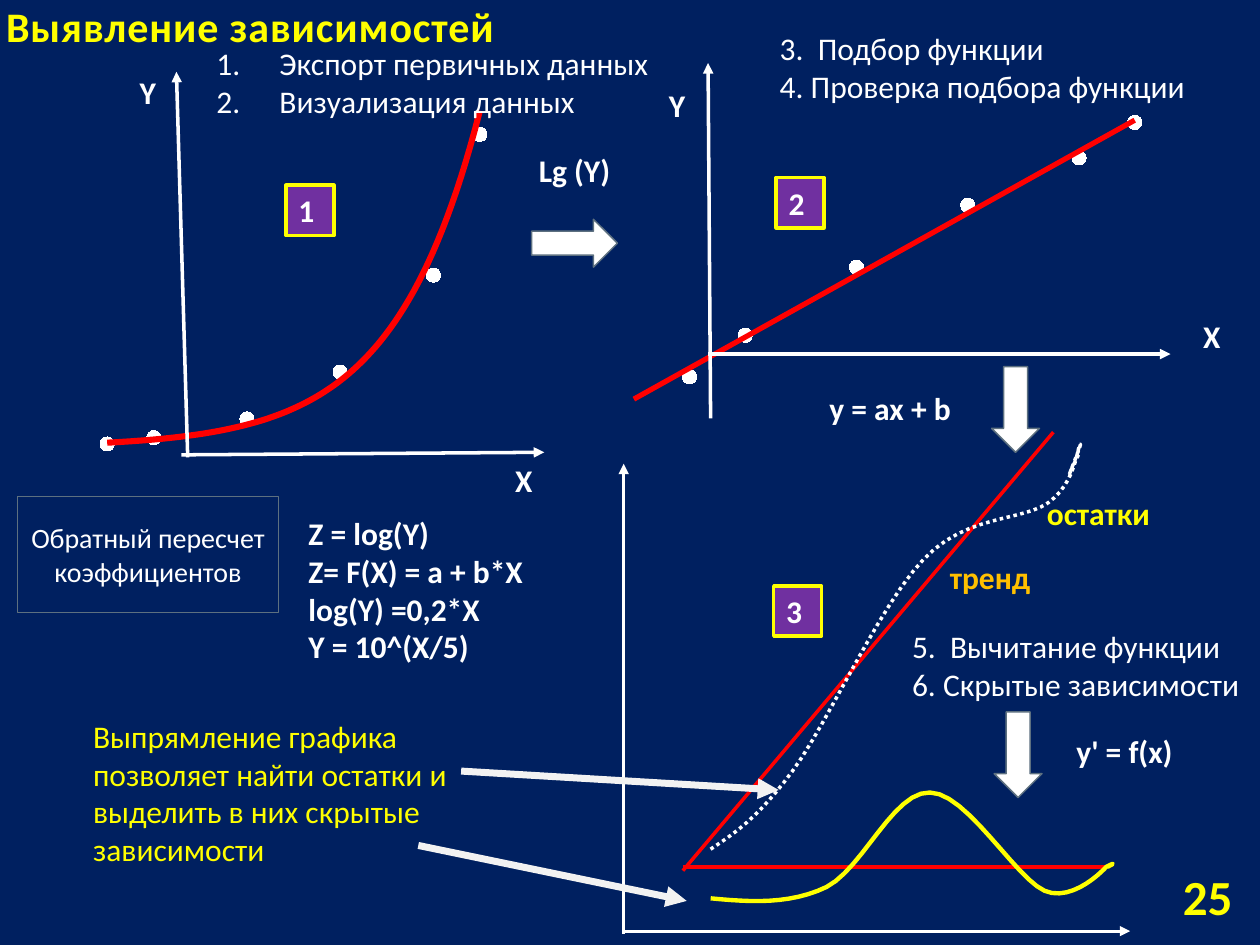
from lxml import etree
from pptx import Presentation
from pptx import util as u
from pptx.chart import data
from pptx.dml.color import RGBColor
from pptx.enum import chart as kinds, dml, shapes, text
from pptx.oxml import parse_xml
from pptx.oxml.ns import nsdecls, qn

NAVY = RGBColor(0x00, 0x20, 0x60)
WHITE = RGBColor(0xFF, 0xFF, 0xFF)
PALE = RGBColor(0xF2, 0xF2, 0xF2)
YELLOW = RGBColor(0xFF, 0xFF, 0x00)
AMBER = RGBColor(0xFF, 0xC0, 0x00)
RED = RGBColor(0xFF, 0x00, 0x00)
PURPLE = RGBColor(0x70, 0x30, 0xA0)
SLATE = RGBColor(0x5D, 0x70, 0x80)
LEFT, MID, RIGHT = text.PP_ALIGN.LEFT, text.PP_ALIGN.CENTER, text.PP_ALIGN.RIGHT
TOP, HALF, BASE = text.MSO_ANCHOR.TOP, text.MSO_ANCHOR.MIDDLE, text.MSO_ANCHOR.BOTTOM
FORM = shapes.MSO_SHAPE


def spots(points, steps=12):
    yield points[0]
    for k in range(0, len(points) - 1, 3):
        a, b, c, d = points[k:k + 4]
        for n in range(1, steps + 1):
            t = n / steps
            s = 1 - t
            yield tuple(s**3 * a[i] + 3 * s * s * t * b[i] + 3 * s * t * t * c[i] + t**3 * d[i]
                        for i in (0, 1))


class Page:
    font = "Calibri"

    def __init__(self, deck):
        self.slide = deck.slides.add_slide(deck.slide_layouts[6])
        self.items = self.slide.shapes
        fill = self.slide.background.fill
        fill.solid()
        fill.fore_color.rgb = NAVY

    def box(self, place):
        return [u.Inches(v) for v in place]

    def words(self, shape, lines, size=18, color=WHITE, bold=False, align=LEFT,
              anchor=TOP, wrap=True, space=0, count=False):
        frame = shape.text_frame
        frame.word_wrap = wrap
        frame.vertical_anchor = anchor
        for n, line in enumerate(lines):
            para = frame.add_paragraph() if n else frame.paragraphs[0]
            para.alignment = align
            run = para.add_run()
            run.text = line
            run.font.name = self.font
            run.font.size = u.Pt(size)
            run.font.bold = bold
            run.font.color.rgb = color
            if space:
                run.font._element.set("spc", str(space))
            if count:
                props = para._p.get_or_add_pPr()
                props.set("marL", str(u.Inches(0.5)))
                props.set("indent", str(u.Inches(-0.5)))
                etree.SubElement(props, qn("a:buAutoNum"), type="arabicPeriod")

    def label(self, place, *lines, **style):
        self.words(self.items.add_textbox(*self.box(place)), lines, **style)

    def shape(self, form, place, fill, line, width, turn=0):
        shape = self.items.add_shape(form, *self.box(place))
        shape.shadow.inherit = False
        shape.fill.solid()
        shape.fill.fore_color.rgb = fill
        shape.line.color.rgb = line
        shape.line.width = u.Pt(width)
        shape.rotation = turn
        return shape

    def arrow(self, left, top, turn=0):
        self.shape(FORM.RIGHT_ARROW, (left, top, 0.68, 0.38), WHITE, SLATE, 0.85, turn)

    def badge(self, left, top, mark):
        shape = self.shape(FORM.RECTANGLE, (left, top, 0.38, 0.4), PURPLE, YELLOW, 2)
        self.words(shape, [mark], bold=True)

    def line(self, start, end, color=WHITE, width=2, head=True):
        line = self.items.add_connector(shapes.MSO_CONNECTOR.STRAIGHT, *self.box(start + end))
        line.line.color.rgb = color
        line.line.width = u.Pt(width)
        if head:
            etree.SubElement(line.line._get_or_add_ln(), qn("a:tailEnd"), type="triangle")
        etree.SubElement(line._element.spPr, qn("a:effectLst"))

    def curve(self, points, color, width, dash=None):
        first, *rest = [self.box(p) for p in spots(points)]
        pen = self.items.build_freeform(*first, scale=1.0)
        pen.add_line_segments(rest, close=False)
        shape = pen.convert_to_shape()
        shape.shadow.inherit = False
        shape.fill.background()
        shape.line.color.rgb = color
        shape.line.width = u.Pt(width)
        if dash:
            shape.line.dash_style = dash

    def chart(self, place, values, top, plot, trend, width, back=0, size=14):
        source = data.XyChartData()
        series = source.add_series("Series 1")
        for x, y in zip((40, 45, 55, 65, 75, 80), values):
            series.add_data_point(x, y)
        chart = self.items.add_chart(kinds.XL_CHART_TYPE.XY_SCATTER, *self.box(place), source).chart
        chart.has_legend = chart.has_title = False
        chart.font.name = self.font
        chart.font.size = u.Pt(size)
        chart.font.color.rgb = WHITE
        chart.plots[0].vary_by_categories = False
        for axis, low, high in ((chart.category_axis, 35, 85), (chart.value_axis, 0, top)):
            axis.minimum_scale, axis.maximum_scale = low, high
            axis.has_major_gridlines = False
            axis.visible = False
        dots = chart.plots[0].series[0]
        dots.format.line.fill.background()
        dots.marker.style = kinds.XL_MARKER_STYLE.CIRCLE
        dots.marker.size = 8
        dots.marker.format.fill.solid()
        dots.marker.format.fill.fore_color.rgb = WHITE
        dots.marker.format.line.color.rgb = WHITE
        dots._element.find(qn("c:xVal")).addprevious(parse_xml(
            f'<c:trendline {nsdecls("c", "a")}><c:spPr><a:ln w="{u.Pt(width)}"><a:solidFill>'
            f'<a:srgbClr val="{RED}"/></a:solidFill></a:ln></c:spPr>'
            f'<c:trendlineType val="{trend}"/><c:backward val="{back}"/>'
            '<c:dispRSqr val="0"/><c:dispEq val="0"/></c:trendline>'))
        area = chart._chartSpace.chart.plotArea
        for old in area.findall(qn("c:layout")):
            area.remove(old)
        sides = "".join(f'<c:{k} val="{v}"/>' for k, v in zip("xywh", plot))
        area.insert(0, parse_xml(
            f'<c:layout {nsdecls("c")}><c:manualLayout><c:layoutTarget val="inner"/>'
            f'<c:xMode val="edge"/><c:yMode val="edge"/>{sides}</c:manualLayout></c:layout>'))


def main():
    deck = Presentation()
    deck.slide_width, deck.slide_height = u.Inches(10), u.Inches(7.5)
    page = Page(deck)

    page.label((8.7, 6.91, 1.18, 0.4), "25", size=28, color=YELLOW, bold=True,
               align=RIGHT, anchor=HALF)
    page.label((-0.05, -0.01, 5.38, 0.46), "Выявление зависимостей", size=24,
               color=YELLOW, bold=True, anchor=BASE, space=50)
    page.chart((5.01, 0.32, 4.72, 3), (14, 28, 51, 72, 88, 100), 115,
               (0, 0.1, 0.94, 0.9), "linear", 3, back=5)
    page.chart((0.28, 0.6, 4.02, 2.98), (1, 3, 9, 24, 55, 100), 108,
               (0.05, 0.09, 0.92, 0.9), "exp", 3.5, size=10)
    for left, top, name in ((9.45, 2.47, "X"), (5.21, 0.63, "Y"),
                            (1.01, 0.53, "Y"), (3.99, 3.61, "X")):
        page.label((left, top, 0.34, 0.4), name, bold=True, wrap=False)

    page.line((4.95, 7.39), (8.97, 7.39), width=1.75)
    page.line((4.95, 7.41), (4.95, 3.68), width=1.75)
    page.line((5.42, 6.91), (8.36, 3.43), RED, head=False)
    page.curve([(5.64, 6.74), (5.82, 6.62), (6.01, 6.5), (6.29, 6.12), (6.57, 5.74),
                (6.99, 4.79), (7.33, 4.44), (7.67, 4.08), (8.11, 4.14), (8.32, 3.99),
                (8.53, 3.84), (8.55, 3.57), (8.57, 3.53), (8.6, 3.49), (8.49, 3.75),
                (8.49, 3.76), (8.48, 3.77), (8.52, 3.69), (8.56, 3.61)],
               WHITE, 2, dml.MSO_LINE.ROUND_DOT)
    page.line((5.42, 6.88), (8.78, 6.88), RED, head=False)
    page.curve([(5.64, 7.13), (5.95, 7.16), (6.27, 7.18), (6.56, 7.04), (6.85, 6.89),
                (7.09, 6.28), (7.38, 6.29), (7.67, 6.29), (8.06, 6.97), (8.29, 7.07),
                (8.52, 7.17), (8.78, 6.88), (8.78, 6.88), (8.86, 6.84), (8.83, 6.86),
                (8.79, 6.88)], YELLOW, 2.5)
    page.label((0.64, 5.64, 3.02, 1.31), "Выпрямление графика позволяет найти остатки "
               "и выделить в них скрытые зависимости", color=YELLOW)

    page.arrow(4.22, 1.74)
    page.arrow(7.72, 3.06, 90)
    page.arrow(7.74, 5.8, 90)
    for start, end in (((1.44, 3.61), (4.32, 3.59)), ((5.62, 2.81), (9.29, 2.81)),
                       ((5.64, 3.32), (5.62, 0.5)), ((1.49, 3.63), (1.4, 0.57))):
        page.line(start, end)
    page.line((3.66, 6.12), (6.18, 6.27), PALE, 4)
    page.line((3.32, 6.71), (5.45, 7.15), PALE, 4)

    page.label((3.83, 1.15, 1.46, 0.4), "Lg (Y)", bold=True, align=MID)
    page.label((6.28, 3.04, 1.57, 0.4), "y = ax + b", bold=True, align=MID)
    page.label((8.14, 5.76, 1.57, 0.4), "y' = f(x)", bold=True, align=MID)
    page.label((8.21, 3.87, 1.15, 0.4), "остатки", color=YELLOW, bold=True)
    page.label((7.44, 4.38, 1.15, 0.4), "тренд", color=AMBER, bold=True)
    page.label((2.35, 4.03, 2.1, 1.31), "Z = log(Y)", "Z= F(X) = a + b*X",
               "log(Y) =0,2*X", "Y = 10^(X/5)", bold=True)
    panel = page.shape(FORM.RECTANGLE, (0.14, 3.94, 2.07, 0.92), NAVY, SLATE, 0.85)
    page.words(panel, ["Обратный пересчет коэффициентов"], size=16, align=MID, anchor=HALF)
    page.label((1.62, 0.3, 3.83, 0.71), "Экспорт первичных данных",
               "Визуализация данных", count=True)
    page.label((6.09, 0.18, 4.1, 0.71), "3.  Подбор функции", "4. Проверка подбора функции")
    page.label((7.14, 4.93, 2.83, 0.71), "5.  Вычитание функции", "6. Скрытые зависимости")
    page.badge(2.27, 1.47, "1")
    page.badge(6.16, 1.41, "2")
    page.badge(6.14, 4.65, "3")
    deck.save("out.pptx")


if __name__ == "__main__":
    main()
